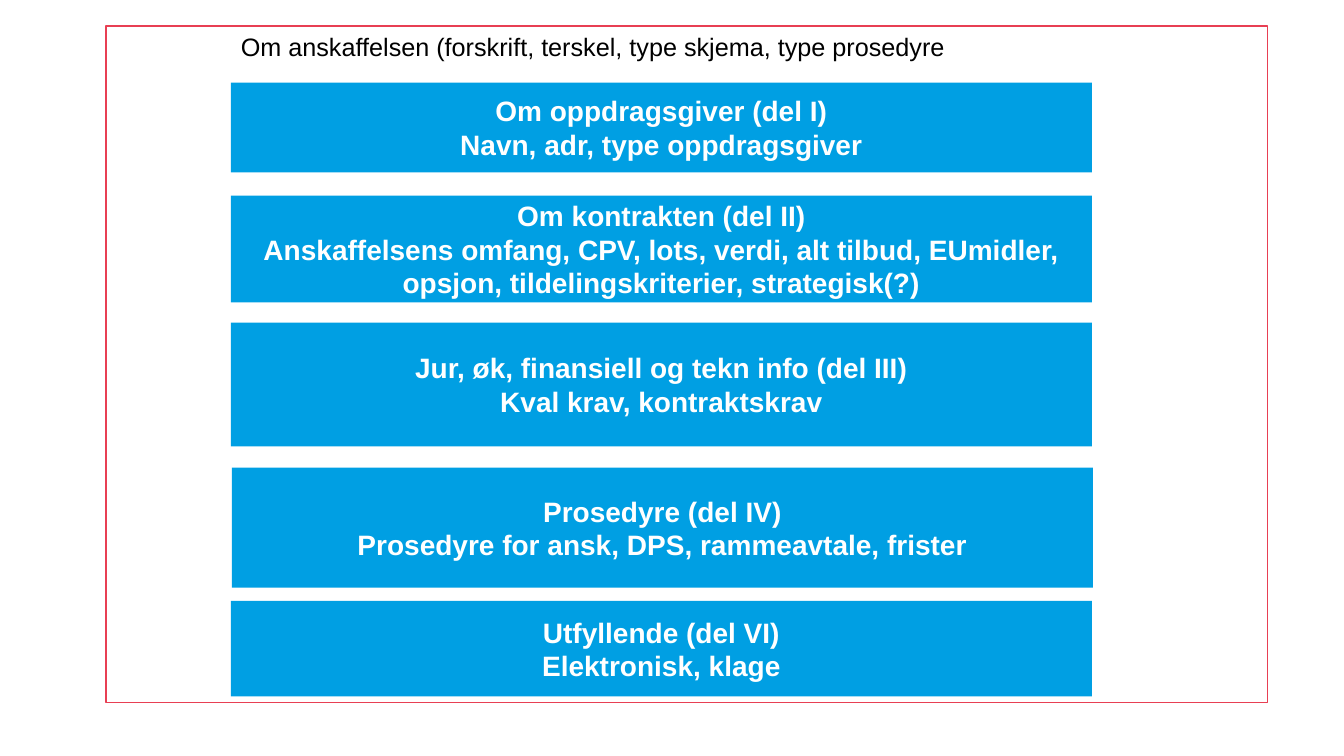
from pptx import Presentation
from pptx.dml.color import RGBColor
from pptx.enum.shapes import MSO_SHAPE as SHAPE
from pptx.enum.text import MSO_ANCHOR as ANCHOR, MSO_AUTO_SIZE as AUTO, PP_ALIGN as ALIGN
from pptx.util import Inches, Pt

COLS, ROWS = 133.3, 75  # grid cells of a tenth of an inch
BLUE, RED, WHITE, BLACK = "009FE3", "E83F53", "FFFFFF", "000000"


def rgb(value):
    return RGBColor.from_string(value)


class Deck:
    font = "Arial"

    def __init__(self, prs):
        self.prs = prs
        self.s = prs.slides.add_slide(prs.slide_layouts[6])

    def place(self, col, row, cols, rows):
        w, h = self.prs.slide_width, self.prs.slide_height
        return (round(col / COLS * w), round(row / ROWS * h),
                round(cols / COLS * w), round(rows / ROWS * h))

    def style_text(self, tf, text, size, color, align, bold=False):
        tf.text = text
        tf.word_wrap = True
        for p in tf.paragraphs:
            p.alignment = align
            for r in p.runs:
                r.font.name, r.font.size, r.font.bold = self.font, Pt(size), bold
                r.font.color.rgb = rgb(color)

    def box(self, cell, fill, line=None):
        sp = self.s.shapes.add_shape(SHAPE.RECTANGLE, *self.place(*cell))
        sp.shadow.inherit = False
        sp.fill.solid()
        sp.fill.fore_color.rgb = rgb(fill)
        if line:
            sp.line.color.rgb = rgb(line)
            sp.line.width = Pt(1)
        else:
            sp.line.fill.background()
        return sp

    def caption(self, cell, text):
        tf = self.s.shapes.add_textbox(*self.place(*cell)).text_frame
        self.style_text(tf, text, 18, BLACK, ALIGN.LEFT)
        tf.auto_size = AUTO.SHAPE_TO_FIT_TEXT

    def section(self, cell, title, detail):
        tf = self.box(cell, BLUE).text_frame
        self.style_text(tf, f"{title}\n{detail}", 20, WHITE, ALIGN.CENTER, bold=True)
        tf.vertical_anchor = ANCHOR.MIDDLE


prs = Presentation()
prs.slide_width, prs.slide_height = Inches(13.33), Inches(7.5)
deck = Deck(prs)

# Frame and heading
LEFT, WIDTH = 22.9, 85.4
deck.box((10.5, 2.6, 115.2, 67.1), WHITE, RED)
deck.caption((LEFT, 2.6, 90.4, 4),
             "Om anskaffelsen (forskrift, terskel, type skjema, type prosedyre")

# Parts of the form: indent, top row, rows, title, detail
sections = [
    (0, 8.2, 8.9, "Om oppdragsgiver (del I)", "Navn, adr, type oppdragsgiver"),
    (0, 19.4, 10.6, "Om kontrakten (del II)",
     "Anskaffelsens omfang, CPV, lots, verdi, alt tilbud, EUmidler, "
     "opsjon, tildelingskriterier, strategisk(?)"),
    (0, 32, 12.3, "Jur, øk, finansiell og tekn info (del III)",
     "Kval krav, kontraktskrav"),
    (0.1, 46.4, 11.9, "Prosedyre (del IV)",
     "Prosedyre for ansk, DPS, rammeavtale, frister"),
    (0, 59.6, 9.5, "Utfyllende (del VI)", "Elektronisk, klage"),
]
for indent, top, rows, title, detail in sections:
    deck.section((LEFT + indent, top, WIDTH, rows), title, detail)

prs.save("out.pptx")
